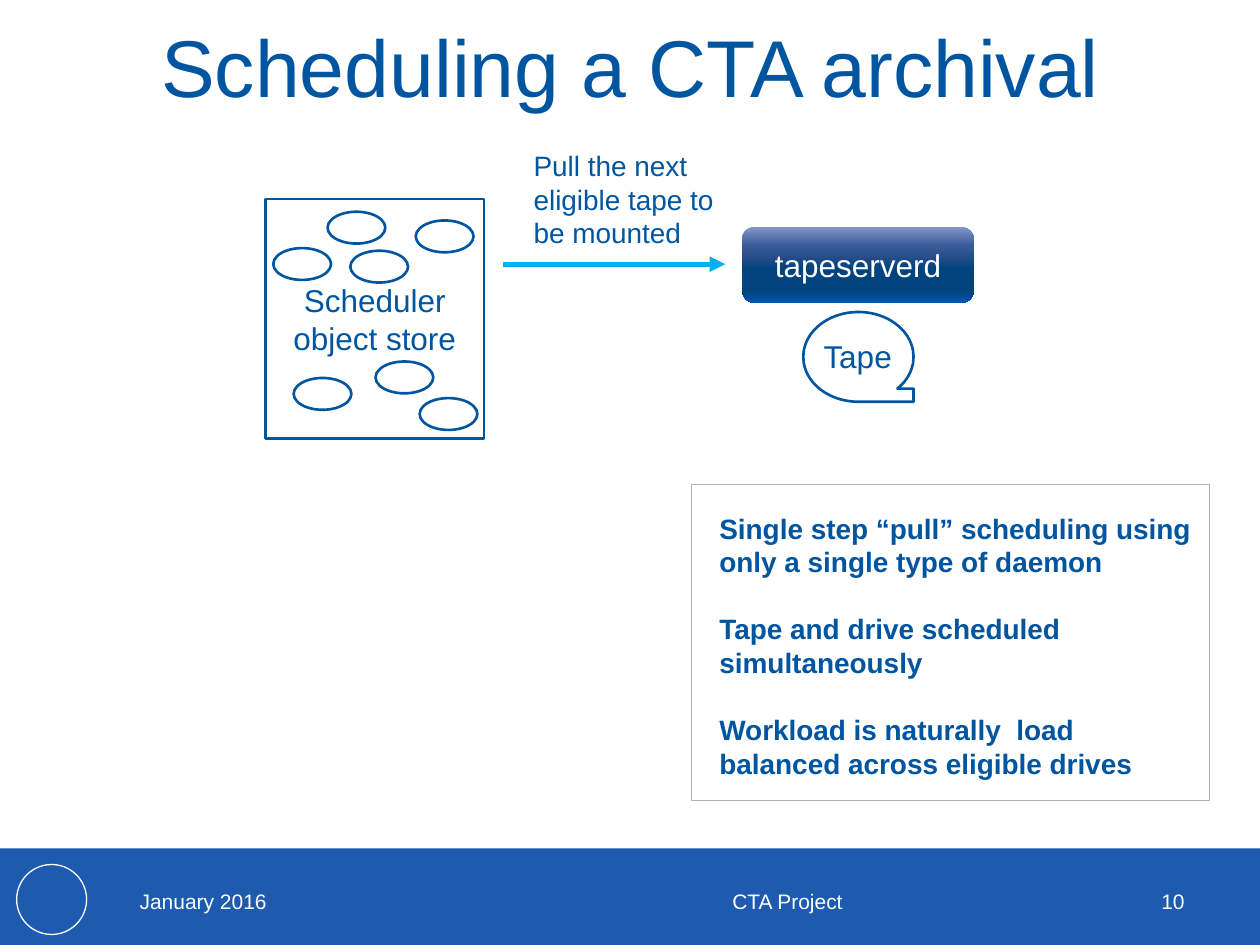
"""Build the slide on scheduling a CTA archival."""
from lxml import etree
from pptx import Presentation
from pptx.dml import color
from pptx.enum import shapes, text
from pptx.oxml import ns
from pptx.util import Pt

COLOURS = {
    "blue": "0055A0", "white": "FFFFFF", "band": "1E5AAE",
    "arrow": "00B0F0", "frame": "B1B1B1",
}
SERVER_STOPS = [
    (0, "8498CC"), (25, "375A98"), (38, "2A4D8B"), (55, "00437D"),
    (80, "00427C"), (88, "004683"), (100, "0055B9"),
]
OBJECTS = [
    (187.2, 121), (237.6, 126), (156.2, 141.8), (200.2, 143.3),
    (239.8, 227.5), (214.6, 206.6), (167.8, 216),
]
FOOTERS = [
    ("January 2016", (72.7, 500.4, 167.8, 28.8), text.PP_ALIGN.LEFT),
    ("CTA Project", (263.5, 500.4, 373, 28.8), text.PP_ALIGN.CENTER),
    ("10", (644.4, 500.4, 39.6, 28.8), text.PP_ALIGN.RIGHT),
]
BENEFITS = [
    "Single step “pull” scheduling using only a single type of daemon",
    "Tape and drive scheduled simultaneously",
    "Workload is naturally  load balanced across eligible drives",
]


def rgb(name):
    """Return the named colour."""
    return color.RGBColor.from_string(COLOURS[name])


def write(frame, lines, size, colour="blue", align=text.PP_ALIGN.LEFT,
          anchor=text.MSO_ANCHOR.TOP, bold=False, gap=0):
    """Fill a text frame with one formatted run per paragraph."""
    frame.word_wrap = True
    frame.vertical_anchor = anchor
    for index, line in enumerate(lines):
        paragraph = frame.add_paragraph() if index else frame.paragraphs[0]
        paragraph.alignment = align
        if index and gap:
            paragraph.space_before = Pt(gap)
        run = paragraph.add_run()
        run.text = line
        run.font.name = "Arial"
        run.font.size = Pt(size)
        run.font.bold = bold
        run.font.color.rgb = rgb(colour)


def add_label(slide, box, lines, size, **style):
    """Add a text box and return its frame."""
    frame = slide.shapes.add_textbox(*map(Pt, box)).text_frame
    write(frame, lines, size, **style)
    return frame


def add_figure(slide, kind, box, fill="white", line="blue", width=1.5):
    """Add a preset shape with plain fill and outline."""
    figure = slide.shapes.add_shape(kind, *map(Pt, box))
    figure.shadow.inherit = False
    if fill:
        figure.fill.solid()
        figure.fill.fore_color.rgb = rgb(fill)
    else:
        figure.fill.background()
    if line:
        figure.line.color.rgb = rgb(line)
        figure.line.width = Pt(width)
    else:
        figure.line.fill.background()
    return figure


def shade(figure, stops):
    """Give a shape a top-to-bottom gradient."""
    figure.fill.gradient()
    figure.fill.gradient_angle = 270
    stop_list = figure._element.spPr.find(".//" + ns.qn("a:gsLst"))
    for old in list(stop_list):
        stop_list.remove(old)
    for position, value in stops:
        stop = etree.SubElement(stop_list, ns.qn("a:gs"), pos=str(position * 1000))
        etree.SubElement(stop, ns.qn("a:srgbClr"), val=value)


def add_arrow(slide, start, end):
    """Add a straight arrow between two points."""
    arrow = slide.shapes.add_connector(
        shapes.MSO_CONNECTOR.STRAIGHT, *map(Pt, start + end))
    arrow.line.color.rgb = rgb("arrow")
    arrow.line.width = Pt(3)
    etree.SubElement(arrow.line._get_or_add_ln(), ns.qn("a:tailEnd"), type="triangle")
    etree.SubElement(arrow._element.spPr, ns.qn("a:effectLst"))


def add_title(slide, wording):
    """Move and format the title placeholder."""
    title = slide.shapes.title
    title.left, title.top, title.width, title.height = map(Pt, (0, 0, 720, 74.2))
    frame = title.text_frame
    frame.auto_size = text.MSO_AUTO_SIZE.NONE
    frame.margin_left = frame.margin_right = Pt(3.6)
    frame.margin_top = frame.margin_bottom = Pt(3.6)
    write(frame, [wording], 46, align=text.PP_ALIGN.CENTER,
          anchor=text.MSO_ANCHOR.MIDDLE)


def add_footer(slide):
    """Add the bottom band, its emblem and its texts."""
    kinds = shapes.MSO_SHAPE
    add_figure(slide, kinds.RECTANGLE, (0, 484.8, 720, 55.2), "band", None)
    add_figure(slide, kinds.OVAL, (9.5, 494, 40, 40), None, "white", 0.75)
    for wording, box, align in FOOTERS:
        add_label(slide, box, [wording], 12, colour="white", align=align,
                  anchor=text.MSO_ANCHOR.MIDDLE)


def add_store(slide):
    """Add the scheduler object store and the objects in it."""
    kinds = shapes.MSO_SHAPE
    store = add_figure(slide, kinds.RECTANGLE, (151.7, 113.8, 124.8, 136.8))
    write(store.text_frame, ["Scheduler object store"], 18,
          align=text.PP_ALIGN.CENTER, anchor=text.MSO_ANCHOR.MIDDLE)
    for left, top in OBJECTS:
        add_figure(slide, kinds.OVAL, (left, top, 33, 18.2))


def add_server(slide):
    """Add the tape server and its tape."""
    kinds = shapes.MSO_SHAPE
    server = add_figure(slide, kinds.ROUNDED_RECTANGLE,
                        (424, 129.7, 132.6, 43.3), line=None)
    shade(server, SERVER_STOPS)
    write(server.text_frame, ["tapeserverd"], 18, "white",
          text.PP_ALIGN.CENTER, text.MSO_ANCHOR.MIDDLE)
    add_figure(slide, kinds.FLOWCHART_SEQUENTIAL_ACCESS_STORAGE,
               (459, 178.3, 63, 51.3))
    tape = add_label(slide, (463.5, 188.8, 54, 29), ["Tape"], 18)
    tape.word_wrap = False


def main():
    """Build and save the slide."""
    deck = Presentation()
    deck.slide_width, deck.slide_height = Pt(720), Pt(540)
    slide = deck.slides.add_slide(deck.slide_layouts[5])
    add_footer(slide)
    add_title(slide, "Scheduling a CTA archival")
    add_store(slide)
    add_server(slide)
    add_arrow(slide, (287.4, 151), (414.5, 151))
    add_label(slide, (297.8, 81.4, 118, 65.4),
              ["Pull the next eligible tape to be mounted"], 16)
    add_label(slide, (404, 288.5, 287.4, 163), BENEFITS, 16, bold=True, gap=19.2)
    add_figure(slide, shapes.MSO_SHAPE.RECTANGLE, (395.2, 277, 296, 180.3),
               None, "frame", 0.75)
    deck.save("out.pptx")


if __name__ == "__main__":
    main()
